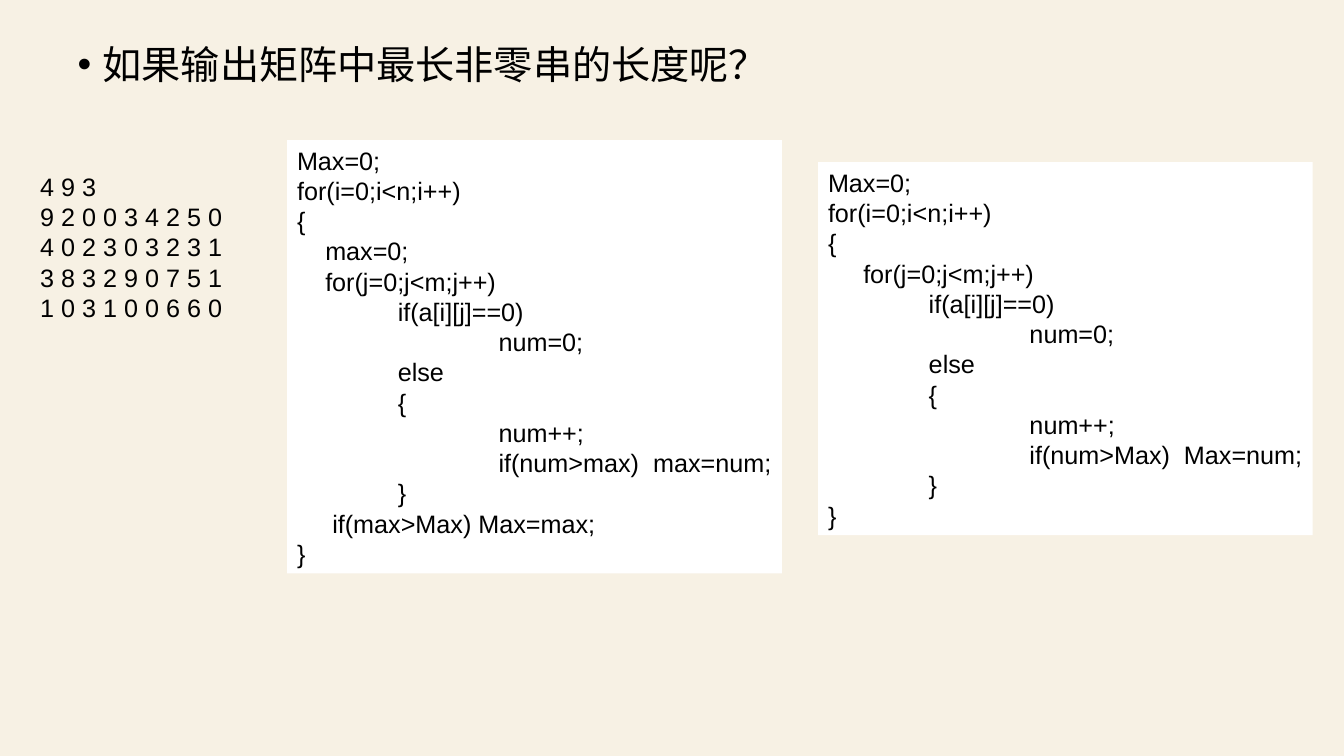
from pptx import Presentation
from pptx import util as u
from pptx.dml.color import RGBColor
from pptx.enum import text as t

WIDTH, HEIGHT = 13.34, 7.5
FONT = "Arial"
COLOURS = {"cream": "F7F1E4", "panel": "FFFFFF", "ink": "000000"}

QUESTION = "如果输出矩阵中最长非零串的长度呢？"
QUESTION_AREA = (0.67, 0.4, 12, 6.3)

MATRIX = ["4 9 3", "9 2 0 0 3 4 2 5 0", "4 0 2 3 0 3 2 3 1",
          "3 8 3 2 9 0 7 5 1", "1 0 3 1 0 0 6 6 0"]
MATRIX_AREA = (0.3, 1.65, 2.39, 1.6)

# Indents of the code lines, in inches
BODY, DEEP_BODY, BRANCH, ACTION = 0.28, 0.35, 1, 2
OPENING = [(0, "Max=0;"), (0, "for(i=0;i<n;i++)"), (0, "{")]


def inner_loop(longest):
    """Code lines that count a run and keep the longest in the named variable."""
    return [
        (BRANCH, "if(a[i][j]==0)"),
        (ACTION, "num=0;"),
        (BRANCH, "else"),
        (BRANCH, "{"),
        (ACTION, "num++;"),
        (ACTION, f"if(num>{longest})  {longest}=num;"),
        (BRANCH, "}"),
    ]


ROW_MAXIMUM = [*OPENING, (BODY, "max=0;"), (BODY, "for(j=0;j<m;j++)"),
               *inner_loop("max"), (DEEP_BODY, "if(max>Max) Max=max;"), (0, "}")]
SINGLE_MAXIMUM = [*OPENING, (DEEP_BODY, "for(j=0;j<m;j++)"),
                  *inner_loop("Max"), (0, "}")]
PANELS = [((2.85, 1.39, 4.91, 4.3), ROW_MAXIMUM),
          ((8.12, 1.61, 4.91, 3.7), SINGLE_MAXIMUM)]


def colour(name):
    return RGBColor.from_string(COLOURS[name])


def write(frame, lines, size=18, hanging=0, spacing=1.0, before=0, right_inset=0.1):
    """Fill a text frame with (indent, text) lines."""
    frame.word_wrap = True
    frame.auto_size = t.MSO_AUTO_SIZE.NONE
    frame.vertical_anchor = t.MSO_ANCHOR.TOP
    frame.margin_right = u.Inches(right_inset)
    for number, (indent, words) in enumerate(lines):
        line = frame.paragraphs[0] if number == 0 else frame.add_paragraph()
        line.alignment = t.PP_ALIGN.LEFT
        line.line_spacing, line.space_before = spacing, u.Pt(before)
        properties = line._p.get_or_add_pPr()
        properties.set("marL", str(u.Inches(indent)))
        properties.set("indent", str(u.Inches(-hanging)))
        run = line.add_run()
        run.text = words
        run.font.name, run.font.size = FONT, u.Pt(size)
        run.font.color.rgb = colour("ink")


def add_text_area(slide, area, lines, fill=None, **text_format):
    box = slide.shapes.add_textbox(*map(u.Inches, area))
    if fill:
        box.fill.solid()
        box.fill.fore_color.rgb = colour(fill)
    write(box.text_frame, lines, **text_format)


def main():
    deck = Presentation()
    deck.slide_width, deck.slide_height = u.Inches(WIDTH), u.Inches(HEIGHT)
    slide = deck.slides.add_slide(deck.slide_layouts[1])
    slide.background.fill.solid()
    slide.background.fill.fore_color.rgb = colour("cream")

    title, question = slide.placeholders
    title._element.getparent().remove(title._element)
    question.left, question.top, question.width, question.height = map(
        u.Inches, QUESTION_AREA)
    write(question.text_frame, [(0.25, QUESTION)], size=28, hanging=0.25,
          spacing=0.9, before=10)

    for area, code in PANELS:
        add_text_area(slide, area, code, fill="panel", right_inset=0)
    add_text_area(slide, MATRIX_AREA, [(0, row) for row in MATRIX])
    deck.save("out.pptx")


if __name__ == "__main__":
    main()
